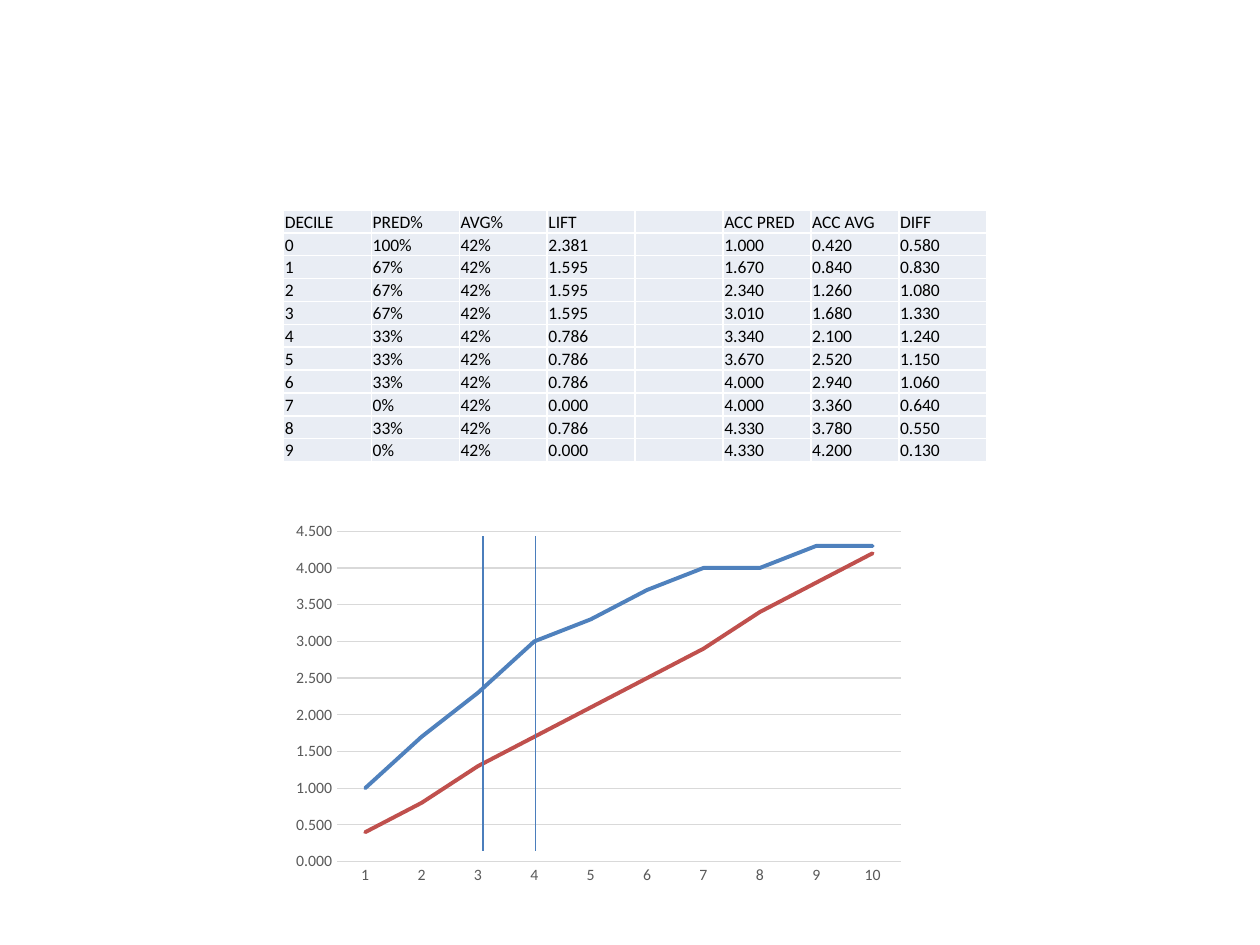
"""Build a lift table and its cumulative chart on one slide."""
from dataclasses import dataclass
from itertools import accumulate

from lxml.etree import SubElement
from pptx import Presentation
from pptx.chart.data import CategoryChartData
from pptx.dml.color import RGBColor
from pptx.enum.chart import XL_CHART_TYPE, XL_MARKER_STYLE, XL_TICK_MARK
from pptx.enum.shapes import MSO_CONNECTOR
from pptx.enum.text import MSO_ANCHOR
from pptx.oxml.ns import qn
from pptx.util import Pt


@dataclass(frozen=True)
class Theme:
    """Colours, font and sizes."""
    font: str = "Calibri"
    ink: str = "000000"
    cell: str = "E9EDF4"
    edge: str = "FFFFFF"
    label: str = "595959"
    grid: str = "D9D9D9"
    pred: str = "4F81BD"
    avg: str = "C0504D"
    mark: str = "4B7EBC"
    body: float = 10
    small: float = 9
    thin: float = 0.75
    bold: float = 2.25


@dataclass(frozen=True)
class Box:
    """Place and size in points."""
    left: float
    top: float
    width: float
    height: float


@dataclass(frozen=True)
class Mark:
    """An upright line on the chart."""
    left: float
    top: float
    base: float


THEME = Theme()
TABLE = Box(162, 120, 402, 144)
CHART = Box(162, 294, 360, 216)
MARKS = (Mark(276, 306, 486), Mark(306, 306, 486))
HEADS = ("DECILE", "PRED%", "AVG%", "LIFT", "", "ACC PRED", "ACC AVG", "DIFF")
PREDS = (100, 67, 67, 67, 33, 33, 33, 0, 33, 0)
MEAN = 42
ACC_PRED = [total / 100 for total in accumulate(PREDS)]
ACC_AVG = [MEAN * rank / 100 for rank in range(1, len(PREDS) + 1)]


def style_font(font, size: float, tint: str) -> None:
    """Set face, size and colour."""
    font.name = THEME.font
    font.size = Pt(size)
    font.color.rgb = RGBColor.from_string(tint)


def style_line(line, tint: str, width: float) -> None:
    """Set colour and width of a line."""
    line.color.rgb = RGBColor.from_string(tint)
    line.width = Pt(width)


def make_rows() -> list:
    """Work out the table text from the rates."""
    rows = [HEADS]
    for rank, (pred, total, base) in enumerate(zip(PREDS, ACC_PRED, ACC_AVG)):
        rows.append((str(rank), f"{pred}%", f"{MEAN}%", f"{pred / MEAN:.3f}", "",
                     f"{total:.3f}", f"{base:.3f}", f"{total - base:.3f}"))
    return rows


def fill_cell(cell, text: str) -> None:
    """Write and format one cell."""
    cell.margin_left = cell.margin_right = cell.margin_top = Pt(0.75)
    cell.margin_bottom = Pt(0)
    cell.vertical_anchor = MSO_ANCHOR.BOTTOM
    para = cell.text_frame.paragraphs[0]
    if text:
        run = para.add_run()
        run.text = text
        style_font(run.font, THEME.body, THEME.ink)
    else:
        SubElement(para._p, qn("a:endParaRPr"), sz=str(int(THEME.body * 100)))
    props = cell._tc.get_or_add_tcPr()
    for side in ("lnL", "lnR", "lnT", "lnB"):
        edge = SubElement(props, qn(f"a:{side}"), w=str(Pt(1)))
        solid = SubElement(edge, qn("a:solidFill"))
        SubElement(solid, qn("a:srgbClr"), val=THEME.edge)
    cell.fill.solid()
    cell.fill.fore_color.rgb = RGBColor.from_string(THEME.cell)


def draw_table(slide, box: Box) -> None:
    """Draw the even grid of deciles."""
    rows = make_rows()
    table = slide.shapes.add_table(
        len(rows), len(HEADS), Pt(box.left), Pt(box.top),
        Pt(box.width), Pt(box.height)).table
    table.first_row = table.horz_banding = False
    for col in table.columns:
        col.width = Pt(box.width / len(HEADS))
    for row, texts in zip(table.rows, rows):
        row.height = Pt(box.height / len(rows))
        for cell, text in zip(row.cells, texts):
            fill_cell(cell, text)


def draw_chart(slide, box: Box) -> None:
    """Draw both running totals as lines."""
    data = CategoryChartData(number_format="0.000")
    data.categories = [str(rank) for rank in range(1, len(PREDS) + 1)]
    for name, totals in (("Series 1", ACC_PRED), ("Series 2", ACC_AVG)):
        data.add_series(name, [round(total, 1) for total in totals])
    chart = slide.shapes.add_chart(
        XL_CHART_TYPE.LINE, Pt(box.left), Pt(box.top),
        Pt(box.width), Pt(box.height), data).chart
    chart.has_legend = chart.has_title = False
    style_font(chart.font, THEME.body, THEME.ink)
    plot = chart.plots[0]
    plot.vary_by_categories = False
    for line, tint in zip(plot.series, (THEME.pred, THEME.avg)):
        line.smooth = False
        line.marker.style = XL_MARKER_STYLE.NONE
        style_line(line.format.line, tint, THEME.bold)
        line._element.spPr.find(qn("a:ln")).set("cap", "rnd")
    cats, vals = chart.category_axis, chart.value_axis
    for axis in (cats, vals):
        axis.major_tick_mark = axis.minor_tick_mark = XL_TICK_MARK.NONE
        style_font(axis.tick_labels.font, THEME.small, THEME.label)
    style_line(cats.format.line, THEME.grid, THEME.thin)
    vals.format.line.fill.background()
    vals.minimum_scale, vals.maximum_scale, vals.major_unit = 0, 4.5, 0.5
    vals.has_major_gridlines = True
    style_line(vals.major_gridlines.format.line, THEME.grid, THEME.thin)
    vals.tick_labels.number_format = "0.000"
    vals.tick_labels.number_format_is_linked = False


def draw_mark(slide, mark: Mark) -> None:
    """Draw one upright line from base to top."""
    line = slide.shapes.add_connector(
        MSO_CONNECTOR.STRAIGHT, Pt(mark.left), Pt(mark.base),
        Pt(mark.left), Pt(mark.top))
    style_line(line.line, THEME.mark, THEME.thin)
    SubElement(line._element.spPr, qn("a:effectLst"))


def main() -> None:
    """Build and save the slide."""
    deck = Presentation()
    deck.slide_width, deck.slide_height = Pt(720), Pt(540)
    slide = deck.slides.add_slide(deck.slide_layouts[6])
    draw_table(slide, TABLE)
    draw_chart(slide, CHART)
    for mark in MARKS:
        draw_mark(slide, mark)
    deck.save("out.pptx")


main()
